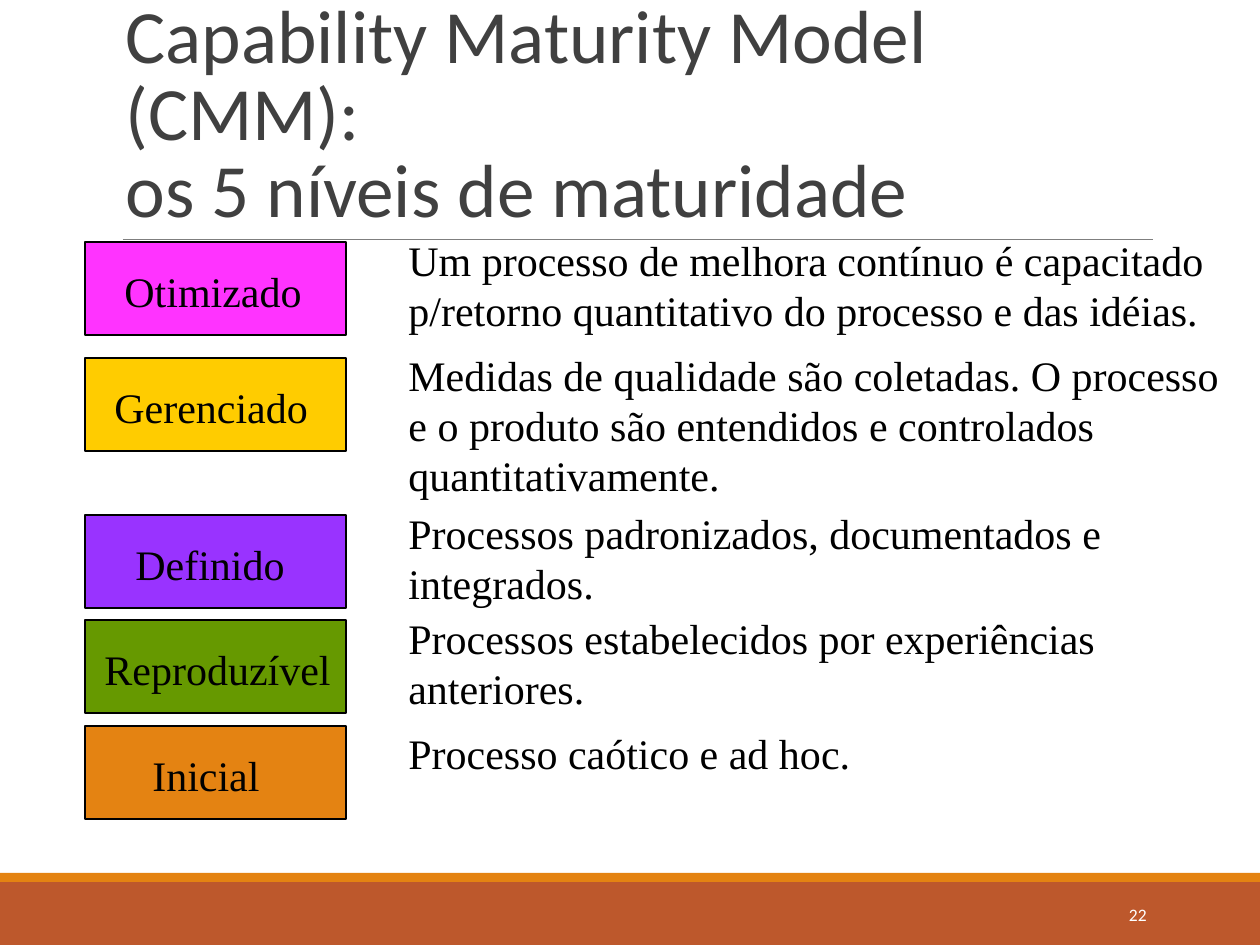
"""Builds the slide on the five CMM maturity levels."""
from lxml import etree
from pptx import Presentation
from pptx.dml.color import RGBColor
from pptx.enum.shapes import MSO_CONNECTOR, MSO_SHAPE
from pptx.enum.text import MSO_ANCHOR, PP_ALIGN
from pptx.oxml.ns import qn
from pptx.util import Pt

PX = 914400 // 126
RECT, STRAIGHT = MSO_SHAPE.RECTANGLE, MSO_CONNECTOR.STRAIGHT
TOP, MIDDLE, BOTTOM = MSO_ANCHOR.TOP, MSO_ANCHOR.MIDDLE, MSO_ANCHOR.BOTTOM
LEFT, RIGHT = PP_ALIGN.LEFT, PP_ALIGN.RIGHT

BLACK = RGBColor(0x00, 0x00, 0x00)
WHITE = RGBColor(0xFF, 0xFF, 0xFF)
CHARCOAL = RGBColor(0x40, 0x40, 0x40)
GRAY = RGBColor(0x7F, 0x7F, 0x7F)
RUST = RGBColor(0xBD, 0x58, 0x2C)
ORANGE = RGBColor(0xE4, 0x83, 0x12)
GREEN = RGBColor(0x66, 0x99, 0x00)
PURPLE = RGBColor(0x99, 0x33, 0xFF)
YELLOW = RGBColor(0xFF, 0xCC, 0x00)
PINK = RGBColor(0xFF, 0x33, 0xFF)

TITLE = {"name": "Calibri", "size": Pt(43), "color": CHARCOAL}
NUMBER = {"name": "Calibri", "size": Pt(10), "color": WHITE}
BODY = {"name": "Times New Roman", "size": Pt(24), "color": BLACK}

LEVELS = [
    ("Inicial", ORANGE, 726, 140, 138, 721, 484, ["Processo caótico e ad hoc."]),
    ("Reproduzível", GREEN, 620, 92, 257, 606, 718,
     ["Processos estabelecidos por experiências", "anteriores."]),
    ("Definido", PURPLE, 515, 123, 180, 501, 724,
     ["Processos padronizados, documentados e", "integrados."]),
    ("Gerenciado", YELLOW, 358, 102, 230, 343, 841,
     ["Medidas de qualidade são coletadas. O processo",
      "e o produto são entendidos e controlados", "quantitativamente."]),
    ("Otimizado", PINK, 242, 112, 209, 228, 828,
     ["Um processo de melhora contínuo é capacitado",
      "p/retorno quantitativo do processo e das idéias."]),
]


class Deck:
    """Holds the scale, the style and the current slide."""

    def __init__(self, width, height):
        self.prs = Presentation()
        self.prs.slide_width, self.prs.slide_height = width * PX, height * PX
        self.s = self.prs.slides.add_slide(self.prs.slide_layouts[6])

    def group(self):
        """Adds an empty group and returns it."""
        return self.s.shapes.add_group_shape()

    def rect(self, box, fill, line=None, parent=None):
        """Adds a filled rectangle, outlined if a line colour is given."""
        sp = (parent or self.s).shapes.add_shape(RECT, *(v * PX for v in box))
        sp.shadow.inherit = False
        sp.fill.solid()
        sp.fill.fore_color.rgb = fill
        if line is None:
            sp.line.fill.background()
        else:
            sp.line.color.rgb = line
            sp.line.width = Pt(1)

    def rule(self, x1, x2, y, color):
        """Adds a thin horizontal line."""
        sp = self.s.shapes.add_connector(STRAIGHT, x1 * PX, y * PX, x2 * PX, y * PX)
        sp.line.color.rgb = color
        sp.line.width = Pt(0.5)
        etree.SubElement(sp._element.spPr, qn("a:effectLst"))

    def text(self, box, lines, style, parent=None, anchor=TOP, align=LEFT, spacing=1.0):
        """Adds a wrapping text box with one paragraph for each line."""
        sp = (parent or self.s).shapes.add_textbox(*(v * PX for v in box))
        tf = sp.text_frame
        tf.word_wrap, tf.vertical_anchor = True, anchor
        tf.text = "\n".join(lines)
        for p in tf.paragraphs:
            p.alignment, p.line_spacing = align, spacing
            for r in p.runs:
                for key, value in style.items():
                    if key == "color":
                        r.font.color.rgb = value
                    else:
                        setattr(r.font, key, value)


def main():
    """Draws the slide and saves it."""
    deck = Deck(1260, 945)
    deck.rect((0, 882, 1260, 63), RUST)
    deck.rect((0, 873, 1260, 9), ORANGE)
    deck.rule(123, 1153, 239, GRAY)
    deck.text((113, 39, 1040, 200), ["Capability Maturity Model (CMM):\vos 5 níveis de maturidade"],
              TITLE, anchor=BOTTOM, spacing=0.85)
    deck.text((1023, 890, 136, 50), ["22"], NUMBER, anchor=MIDDLE, align=RIGHT)
    for name, fill, top, label_x, label_w, note_y, note_w, lines in LEVELS:
        level = deck.group()
        deck.rect((85, top, 261, 93), fill, BLACK, level)
        deck.text((label_x, top + 17, label_w, 63), [name], BODY, level)
        deck.text((396, note_y, note_w, 13 + 50 * len(lines)), lines, BODY, level)
    deck.prs.save("out.pptx")


if __name__ == "__main__":
    main()
